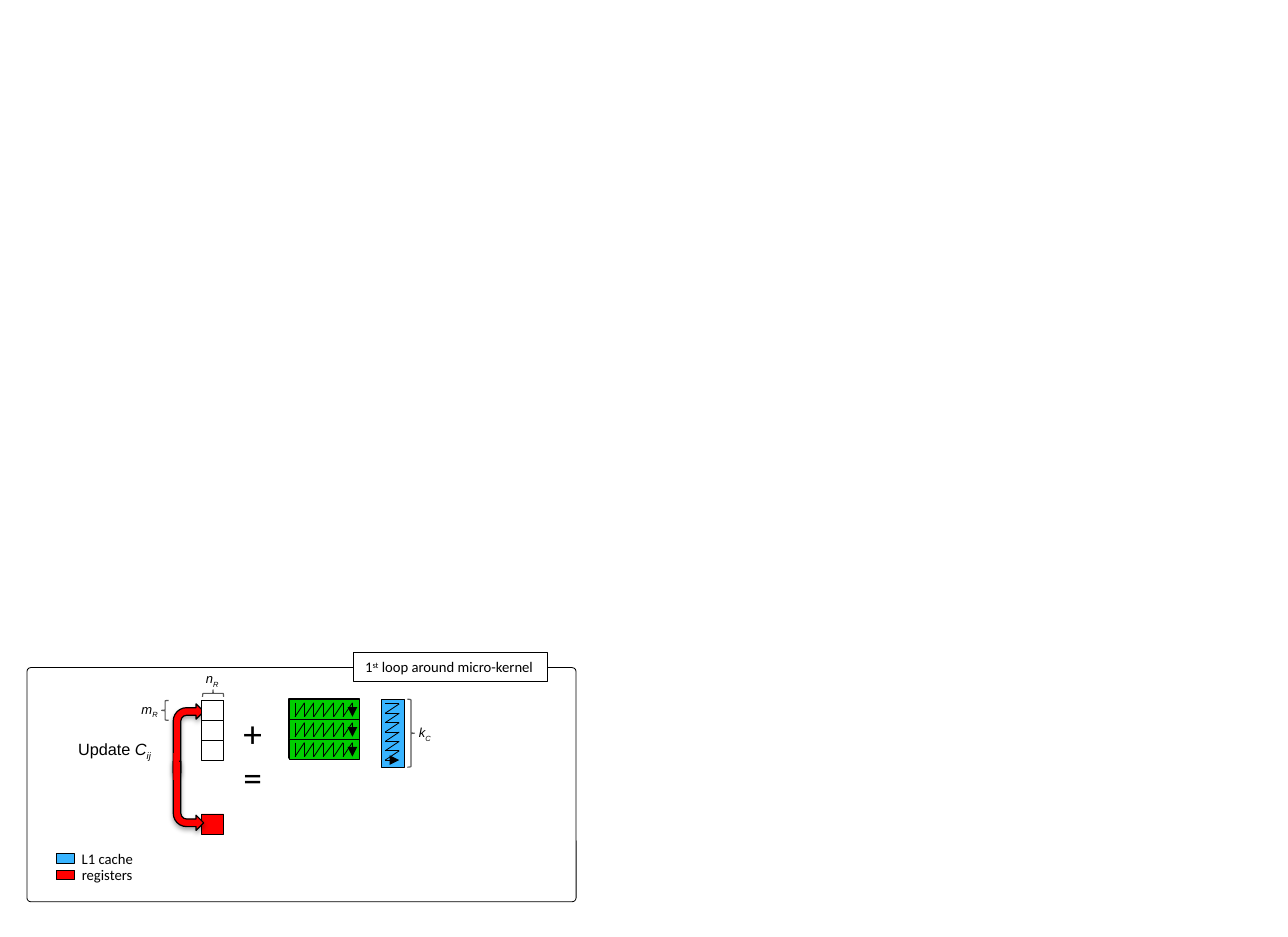
from lxml.etree import SubElement
from pptx import Presentation
from pptx.dml.color import RGBColor
from pptx.enum.shapes import MSO_CONNECTOR, MSO_SHAPE as Shape
from pptx.enum.text import MSO_ANCHOR, PP_ALIGN
from pptx.oxml.ns import qn
from pptx.util import Pt

PX = 9144  # one px is a hundredth of an inch

THEME = {
    "black": RGBColor(0, 0, 0),
    "white": RGBColor(255, 255, 255),
    "gray": RGBColor(0x59, 0x59, 0x59),
    "registers": RGBColor(0xFF, 0, 0),
    "l1_cache": RGBColor(0x38, 0xB4, 0xFF),
    "packed_a": RGBColor(0, 0xCE, 0),
    "math_font": "Arial",
    "text_font": "Calibri",
    "dimension_size": 8,
    "caption_size": 9,
    "update_size": 10,
    "operator_size": 23,
}

presentation = Presentation()
presentation.slide_width, presentation.slide_height = 1100 * PX, 800 * PX
slide = presentation.slides.add_slide(presentation.slide_layouts[6])


def add_box(kind, box, fill=None, line="black", width=0.25):
    """Add a preset shape; fill and line are theme names or None."""
    shape = slide.shapes.add_shape(kind, *(value * PX for value in box))
    shape.shadow.inherit = False
    if fill:
        shape.fill.solid()
        shape.fill.fore_color.rgb = THEME[fill]
    else:
        shape.fill.background()
    if line:
        shape.line.color.rgb = THEME[line]
        shape.line.width = Pt(width)
    else:
        shape.line.fill.background()
    return shape


def add_stroke(start, end, arrow=False):
    """Add a thin line of a zigzag, with an arrowhead at its end if asked."""
    stroke = slide.shapes.add_connector(
        MSO_CONNECTOR.STRAIGHT, *(value * PX for value in (*start, *end)))
    stroke.line.color.rgb = THEME["black"]
    stroke.line.width = Pt(0.5)
    if arrow:
        SubElement(stroke.line._get_or_add_ln(), qn("a:tailEnd"), type="triangle")
    SubElement(stroke._element.spPr, qn("a:effectLst"))


# Frame and its title
frame = add_box(Shape.ROUNDED_RECTANGLE, (23, 570, 469, 200), width=0.5)
frame.adjustments[0] = 0.017
loop_title = add_box(Shape.RECTANGLE, (302, 557, 166, 25), "white", width=0.75)

# Register block and the arrows that update C
add_box(Shape.RECTANGLE, (172, 695, 19, 17), "registers")
for top, flipped in ((601, False), (650, True)):
    arrow = add_box(Shape.BENT_ARROW, (148, top, 26, 59), "registers", width=0.75)
    if flipped:
        arrow._element.spPr.find(qn("a:xfrm")).set("flipV", "1")
    effects = arrow._element.spPr.find(qn("a:effectLst"))
    shadow = SubElement(effects, qn("a:outerShdw"), blurRad=str(Pt(3.1)),
                        dist=str(Pt(1.8)), dir="5400000", rotWithShape="0")
    shadow_color = SubElement(shadow, qn("a:srgbClr"), val="000000")
    SubElement(shadow_color, qn("a:alpha"), val="35000")
add_box(Shape.RECTANGLE, (148, 643, 5, 23), "registers", line=None)

# Row panels of A with their zigzags, and the blocks of C
add_box(Shape.RECTANGLE, (247, 597, 60, 50), "packed_a", width=1)
add_box(Shape.RECTANGLE, (172, 598, 19, 50), "white")
teeth = [252 + round(49 * index / 6) for index in range(7)]
for row in range(3):
    top = 597 + 17 * row
    add_box(Shape.RECTANGLE, (247, top, 60, 17), "packed_a")
    add_box(Shape.RECTANGLE, (172, top + 1, 19, 17), "white")
    high, low = top + 3, top + 15
    for left, right in zip(teeth, teeth[1:]):
        add_stroke((left, high), (left, low))
        add_stroke((right, high), (left, low))
    add_stroke((teeth[-1], high), (teeth[-1], low), arrow=True)

# Column panel of B with its zigzag
add_box(Shape.RECTANGLE, (326, 597, 19, 58), "l1_cache")
for level in range(601, 649, 8):
    add_stroke((329, level), (341, level))
    add_stroke((329, level + 8), (341, level))
add_stroke((329, 649), (341, 649), arrow=True)

# Dimension braces
for box, rotation in (((138, 598, 6, 17), 180), ((179, 583, 6, 18), 270),
                      ((348, 597, 6, 58), 0)):
    brace = add_box(Shape.RIGHT_BRACE, box, line="gray", width=0.75)
    brace.rotation = rotation

# Legend swatches
for top, fill in ((729, "l1_cache"), (743, "registers")):
    add_box(Shape.RECTANGLE, (48, top, 16, 8), fill, width=0.5)

# Text: box (None is the title), font, size, wrap, runs of (text, italic, baseline)
labels = [
    (None, "text_font", "caption_size", True,
     [("1", False, 0), ("st", False, 30), (" loop around micro-kernel", False, 0)]),
    ((57, 626, 127, 27), "math_font", "update_size", True,
     [("Update ", False, 0), ("C", True, 0), ("ij", True, -25)]),
    ((198, 601, 45, 40), "text_font", "operator_size", True, [("+=", False, 0)]),
    ((60, 721, 64, 25), "text_font", "caption_size", False, [("L1 cache", False, 0)]),
    ((60, 734, 65, 25), "text_font", "caption_size", False, [("registers", False, 0)]),
]
for box, letter, index in (((111, 594, 38, 24), "m", "R"),
                           ((166, 568, 32, 24), "n", "R"),
                           ((348, 614, 33, 24), "k", "C")):
    labels.append((box, "math_font", "dimension_size", True,
                   [(letter, True, 0), (index, True, -25)]))

for box, font_name, size, wrap, runs in labels:
    if box:
        holder = slide.shapes.add_textbox(*(value * PX for value in box))
    else:
        holder = loop_title
    text_frame = holder.text_frame
    text_frame.word_wrap = wrap
    text_frame.vertical_anchor = MSO_ANCHOR.TOP
    paragraph = text_frame.paragraphs[0]
    paragraph.alignment = PP_ALIGN.LEFT
    for text, italic, baseline in runs:
        run = paragraph.add_run()
        run.text = text
        font_format = {"name": THEME[font_name], "size": Pt(THEME[size]), "italic": italic}
        for attribute, value in font_format.items():
            setattr(run.font, attribute, value)
        run.font.color.rgb = THEME["black"]
        if baseline:
            run.font._element.set("baseline", str(baseline * 1000))

presentation.save("out.pptx")
